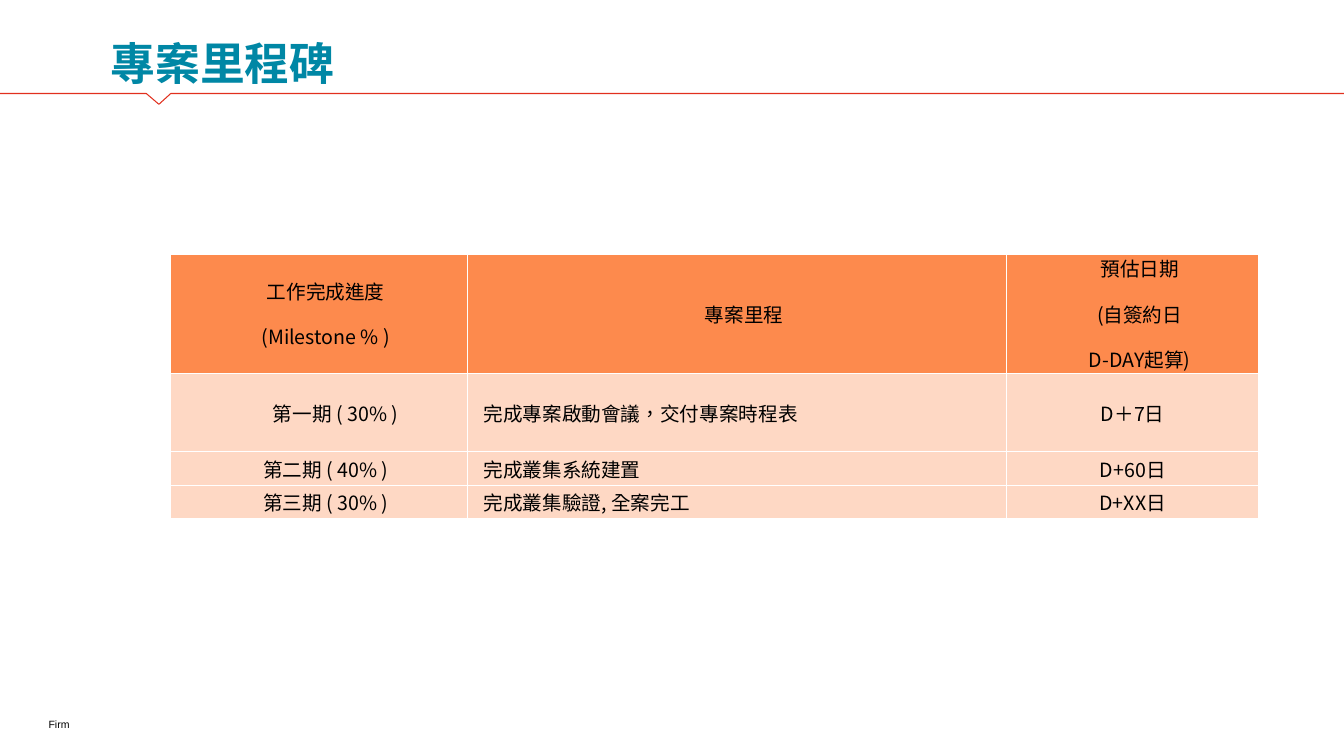
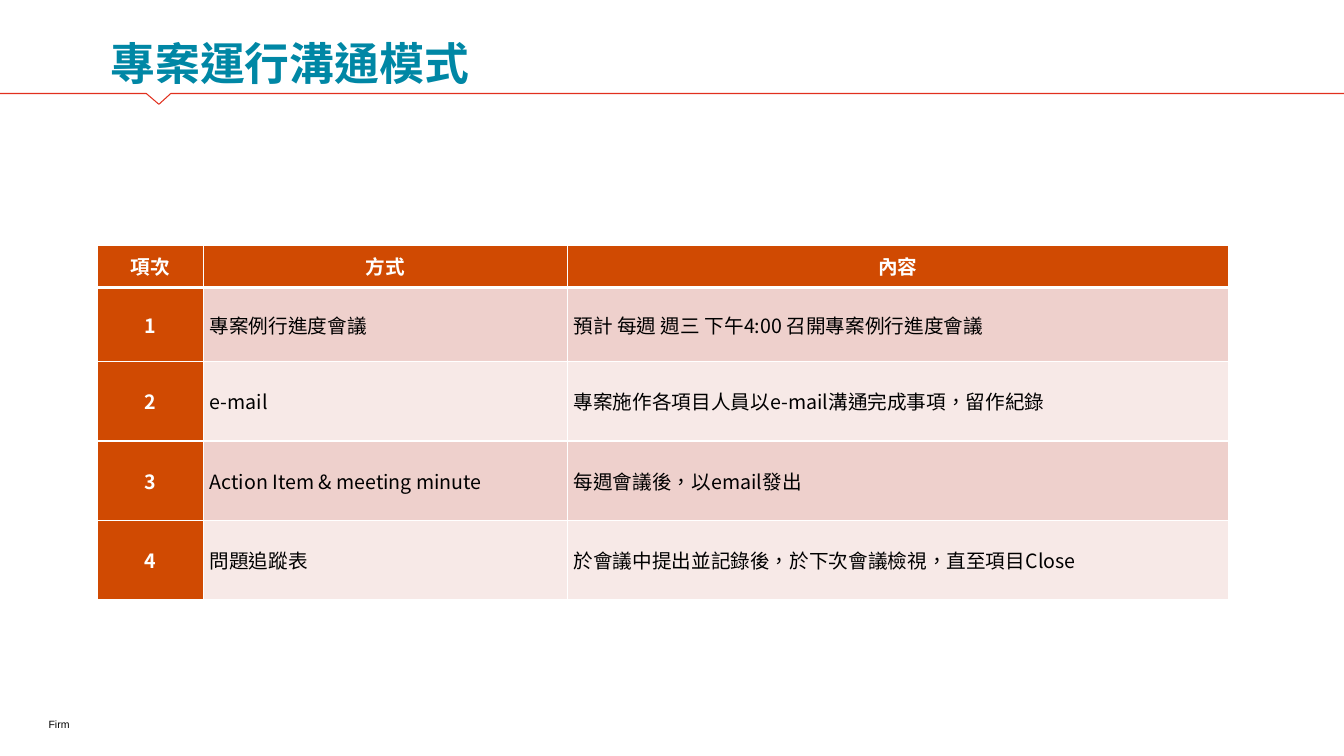
import pptx
import pptx.dml.color
import pptx.enum.text
import pptx.oxml.ns
import pptx.util
from lxml import etree

Pt = pptx.util.Pt
ALIGN = pptx.enum.text.PP_ALIGN
ANCHOR = pptx.enum.text.MSO_ANCHOR
qn = pptx.oxml.ns.qn

SLIDE_WIDTH, SLIDE_HEIGHT = 960, 540
TITLE_FONT = "Noto Sans CJK SC"
MILESTONE_FONT = "Noto Sans CJK TC"
BLACK, WHITE = "000000", "FFFFFF"
TITLE_TEAL, RULE_RED = "0087A5", "E1301E"
HEADER_ORANGE, BODY_PEACH = "FD8A4D", "FED8C4"
HEADER_RUST, BANDS = "D04A02", ("EED0CC", "F7E9E7")
CELL_INSET = 1.5

MILESTONES = [
    ("工作完成進度\n(Milestone % )", "專案里程", "預估日期\n(自簽約日\nD-DAY起算)"),
    ("第一期 ( 30% )", "完成專案啟動會議，交付專案時程表", "D＋7日"),
    ("第二期 ( 40% )", "完成叢集系統建置", "D+60日"),
    ("第三期 ( 30% )", "完成叢集驗證, 全案完工", "D+XX日"),
]
CHANNELS = [
    ("項次", "方式", "內容"),
    ("1", "專案例行進度會議", "預計 每週 週三 下午4:00 召開專案例行進度會議"),
    ("2", "e-mail", "專案施作各項目人員以e-mail溝通完成事項，留作紀錄"),
    ("3", "Action Item & meeting minute", "每週會議後，以email發出"),
    ("4", "問題追蹤表", "於會議中提出並記錄後，於下次會議檢視，直至項目Close"),
]


def rgb(color):
    return pptx.dml.color.RGBColor.from_string(color)


def style_paragraph(paragraph, font_name, size, color, bold=False, align=ALIGN.LEFT):
    paragraph.alignment = align
    font = paragraph.font
    font.name, font.size, font.bold = font_name, Pt(size), bold
    font.color.rgb = rgb(color)
    defaults = paragraph._p.pPr.find(qn("a:defRPr"))
    defaults.set("lang", "zh-TW")
    etree.SubElement(defaults, qn("a:ea"), typeface=font_name)


def set_insets(frame, horizontal, vertical):
    frame.margin_left = frame.margin_right = Pt(horizontal)
    frame.margin_top = frame.margin_bottom = Pt(vertical)


def add_title(slide, text):
    title = slide.shapes.title
    title.left, title.top, title.width, title.height = Pt(69.6), Pt(23.4), Pt(778), Pt(47)
    frame = title.text_frame
    frame.text = text
    frame.auto_size = pptx.enum.text.MSO_AUTO_SIZE.NONE
    frame.vertical_anchor = ANCHOR.MIDDLE
    set_insets(frame, 9.36, 5.04)
    style_paragraph(frame.paragraphs[0], TITLE_FONT, 32, TITLE_TEAL, bold=True)
    frame.paragraphs[0].line_spacing = 0.9


def add_notched_rule(slide):
    """Draw the full-width line with a small notch under the title."""
    baseline = Pt(66.8)
    builder = slide.shapes.build_freeform(Pt(SLIDE_WIDTH), baseline)
    builder.add_line_segments(
        [(Pt(122), baseline), (Pt(113.5), Pt(74.5)), (Pt(104.5), baseline), (0, baseline)],
        close=False)
    rule = builder.convert_to_shape()
    rule.shadow.inherit = False
    rule.fill.background()
    rule.line.color.rgb = rgb(RULE_RED)
    rule.line.width = Pt(0.75)


def add_footer(slide):
    footer = slide.shapes.add_textbox(Pt(34.7), Pt(511), Pt(431), Pt(11))
    frame = footer.text_frame
    frame.word_wrap = True
    frame.vertical_anchor = ANCHOR.BOTTOM
    set_insets(frame, 0, 0)
    frame.text = "Firm"
    style_paragraph(frame.paragraphs[0], "Arial", 7.5, BLACK)


def add_slide(prs, title):
    slide = prs.slides.add_slide(prs.slide_layouts[5])
    add_title(slide, title)
    add_notched_rule(slide)
    add_footer(slide)
    return slide


def add_grid(slide, left, top, widths, heights):
    frame = slide.shapes.add_table(len(heights), len(widths), Pt(left), Pt(top),
                                   Pt(sum(widths)), Pt(sum(heights)))
    table = frame.table
    for column, width in zip(table.columns, widths):
        column.width = Pt(width)
    for row, height in zip(table.rows, heights):
        row.height = Pt(height)
    return table


def set_borders(cell, top=1, bottom=1):
    properties = cell._tc.get_or_add_tcPr()
    for side, width in (("L", 1), ("R", 1), ("T", top), ("B", bottom)):
        line = etree.SubElement(properties, qn(f"a:ln{side}"), w=str(Pt(width)))
        fill = etree.SubElement(line, qn("a:solidFill"))
        etree.SubElement(fill, qn("a:srgbClr"), val=WHITE)


def fill_cell(cell, text, fill, font_name, color=BLACK, bold=False,
              align=ALIGN.CENTER, left_inset=CELL_INSET):
    cell.text = text
    cell.vertical_anchor = ANCHOR.MIDDLE
    set_insets(cell, CELL_INSET, 0)
    cell.margin_left = Pt(left_inset)
    cell.fill.solid()
    cell.fill.fore_color.rgb = rgb(fill)
    for index, paragraph in enumerate(cell.text_frame.paragraphs):
        paragraph.space_before = Pt(12 if index else 0)
        style_paragraph(paragraph, font_name, 14, color, bold, align)


def add_milestone_table(slide):
    table = add_grid(slide, 121.5, 181.5, (212.4, 385.2, 180), (85.2, 56, 24, 24))
    indent = CELL_INSET + 10
    for r, row in enumerate(MILESTONES):
        for c, text in enumerate(row):
            left_inset = indent
            if r and c == 2:
                left_inset = CELL_INSET
            elif (r, c) == (1, 0):
                left_inset = CELL_INSET + 24
            cell = table.cell(r, c)
            set_borders(cell)
            fill_cell(cell, text, BODY_PEACH if r else HEADER_ORANGE, MILESTONE_FONT,
                      align=ALIGN.LEFT if r and c == 1 else ALIGN.CENTER,
                      left_inset=left_inset)


def add_channel_table(slide):
    table = add_grid(slide, 69.7, 175.3, (75.6, 260, 472), (30, 53, 56.8, 56.8, 56.8))
    body_aligns = (ALIGN.CENTER, ALIGN.LEFT, ALIGN.JUSTIFY)
    for r, row in enumerate(CHANNELS):
        for c, text in enumerate(row):
            cell = table.cell(r, c)
            set_borders(cell, top=3 if r == 1 else 1, bottom=1 if r else 3)
            if r == 0 or c == 0:
                fill_cell(cell, text, HEADER_RUST, TITLE_FONT, WHITE, bold=True)
            else:
                fill_cell(cell, text, BANDS[(r - 1) % 2], TITLE_FONT,
                          align=body_aligns[c], left_inset=CELL_INSET + 3)


def main():
    prs = pptx.Presentation()
    prs.slide_width, prs.slide_height = Pt(SLIDE_WIDTH), Pt(SLIDE_HEIGHT)
    add_milestone_table(add_slide(prs, "專案里程碑"))
    add_channel_table(add_slide(prs, "專案運行溝通模式"))
    prs.save("out.pptx")


if __name__ == "__main__":
    main()
